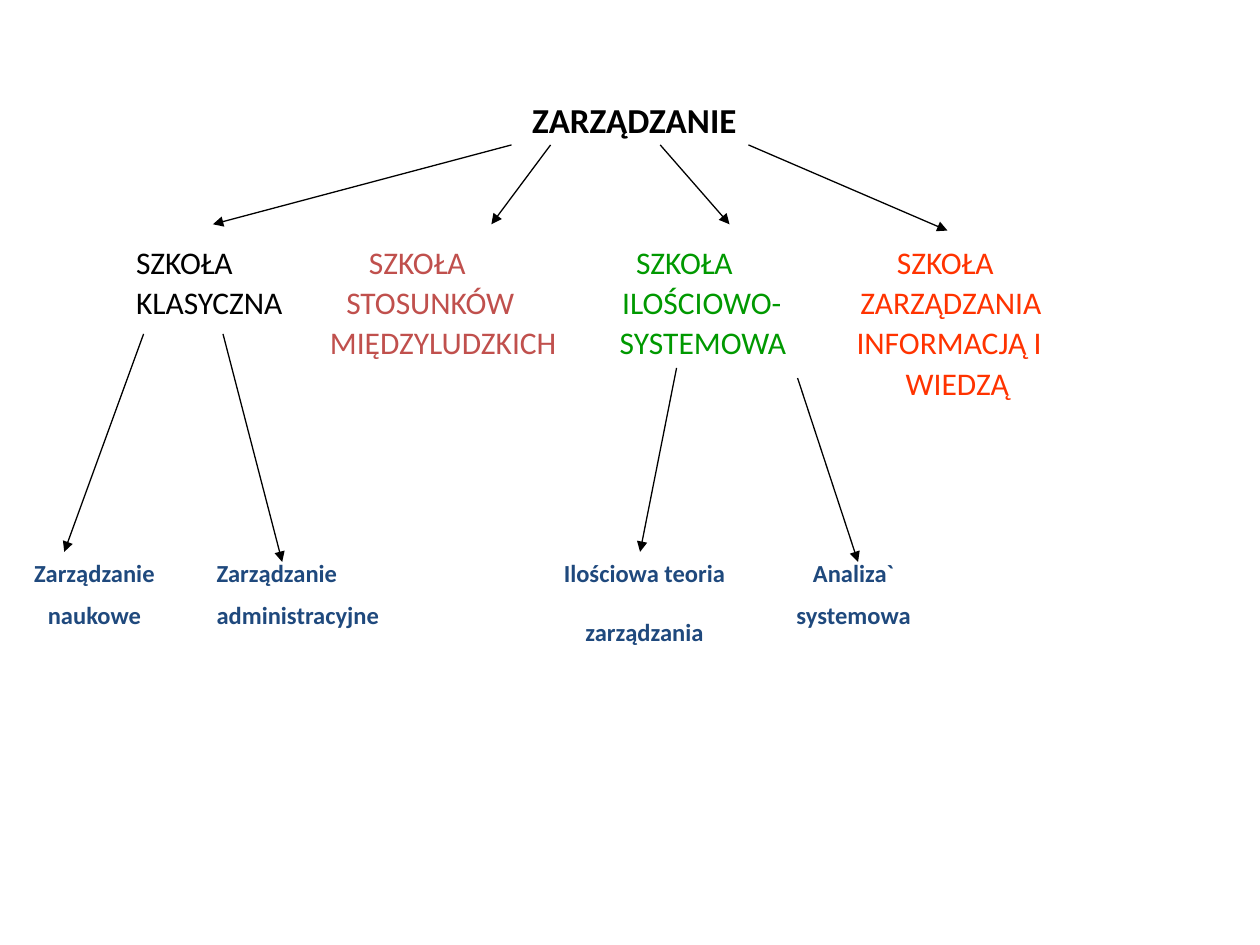
from dataclasses import dataclass

from lxml import etree
from pptx import Presentation
from pptx.dml.color import RGBColor
from pptx.enum.shapes import MSO_CONNECTOR
from pptx.enum.text import MSO_ANCHOR, MSO_AUTO_SIZE, PP_ALIGN
from pptx.oxml.ns import qn
from pptx.util import Inches, Pt

STRAIGHT = MSO_CONNECTOR.STRAIGHT
MIDDLE, TOP = MSO_ANCHOR.MIDDLE, MSO_ANCHOR.TOP
LEFT, CENTER = PP_ALIGN.LEFT, PP_ALIGN.CENTER
NO_AUTOFIT, GROW = MSO_AUTO_SIZE.NONE, MSO_AUTO_SIZE.SHAPE_TO_FIT_TEXT

COLORS = {
    "black": "000000",
    "relations": "C0504D",
    "systemic": "009900",
    "knowledge": "FF3300",
    "branch": "1F497D",
}

CLASSICAL = [("SZKOŁA", 0), ("KLASYCZNA", 0)]
OTHER_SCHOOLS = [
    (2.52, 2.1, "relations",
     [("SZKOŁA", 0.31), ("STOSUNKÓW", 0.13), ("MIĘDZYLUDZKICH", 0)]),
    (4.82, 1.7, "systemic",
     [("SZKOŁA", 0.13), ("ILOŚCIOWO-", 0.02), ("SYSTEMOWA", 0)]),
    (6.7, 1.9, "knowledge",
     [("SZKOŁA", 0.32), ("ZARZĄDZANIA", 0.03), ("INFORMACJĄ I", 0), ("WIEDZĄ", 0.39)]),
]

ARROWS = [
    (4.06, 1.15, 1.69, 1.78), (4.37, 1.15, 3.9, 1.78),
    (5.24, 1.15, 5.79, 1.78), (5.94, 1.15, 7.52, 1.83),
    (1.14, 2.65, 0.51, 4.38), (1.77, 2.65, 2.24, 4.46),
    (5.37, 2.92, 5.08, 4.38), (6.33, 3, 6.81, 4.46),
]

BRANCHES = [
    (0, 1.5, 0.69, ["Zarządzanie", "naukowe"], CENTER, 7, True),
    (1.62, 1.81, 0.69, ["Zarządzanie", "administracyjne"], LEFT, 7, True),
    (5.79, 1.97, 0.69, ["Analiza`", "systemowa"], CENTER, 7, True),
    (4.37, 1.49, 0.81, ["Ilościowa teoria", "zarządzania"], CENTER, 17, False),
]


@dataclass
class SchoolsDiagram:
    """Holds the slide and the style of the management schools diagram."""
    slide: object
    face: str = "Calibri"

    def style(self, font, size, color, bold=False):
        font.name, font.size, font.bold = self.face, Pt(size), bold
        font.color.rgb = RGBColor.from_string(COLORS[color])

    def place(self, shape, left, top, width, height):
        shape.left, shape.top = Inches(left), Inches(top)
        shape.width, shape.height = Inches(width), Inches(height)
        shape.text_frame.auto_size = NO_AUTOFIT

    def textbox(self, left, top, width, height):
        return self.slide.shapes.add_textbox(*map(Inches, (left, top, width, height)))

    def title(self, wording, box):
        heading = self.slide.shapes.title
        self.place(heading, *box)
        heading.text_frame.vertical_anchor = MIDDLE
        heading.text_frame.text = wording
        paragraph = heading.text_frame.paragraphs[0]
        paragraph.alignment = CENTER
        self.style(paragraph.font, 20, "black", True)

    def first_school(self, lines, left, width):
        self.school(self.slide.placeholders[1], left, width, "black", lines)

    def other_school(self, left, width, color, lines):
        self.school(self.textbox(left, 1.91, width, 1.76), left, width, color, lines)

    def school(self, holder, left, width, color, lines):
        self.place(holder, left, 1.91, width, 1.76)
        frame = holder.text_frame
        frame.word_wrap, frame.vertical_anchor = True, TOP
        frame.text = "\n".join(name for name, _ in lines)
        for paragraph, (_, indent) in zip(frame.paragraphs, lines):
            paragraph.line_spacing, paragraph.space_before = 0.9, Pt(3.6)
            properties = paragraph._p.get_or_add_pPr()
            properties.set("marL", str(Inches(indent)))
            properties.set("indent", "0")
            etree.SubElement(properties, qn("a:buNone"))
            self.style(paragraph.font, 18, color)

    def arrow(self, *ends):
        connector = self.slide.shapes.add_connector(STRAIGHT, *map(Inches, ends))
        connector.line.width = Pt(0.75)
        connector.line.color.rgb = RGBColor.from_string(COLORS["black"])
        etree.SubElement(connector.line._get_or_add_ln(), qn("a:tailEnd"), type="triangle")
        etree.SubElement(connector._element.spPr, qn("a:effectLst"))

    def branch(self, left, width, height, lines, alignment, gap, wrap):
        frame = self.textbox(left, 4.38, width, height).text_frame
        frame.word_wrap, frame.auto_size = wrap, GROW
        frame.text = "\n".join(lines)
        for index, paragraph in enumerate(frame.paragraphs):
            paragraph.alignment = alignment
            paragraph.space_before = Pt(gap if index else 0)
            self.style(paragraph.font, 14, "branch", True)


def main():
    deck = Presentation()
    deck.slide_width, deck.slide_height = Inches(10), Inches(7.5)
    diagram = SchoolsDiagram(deck.slides.add_slide(deck.slide_layouts[1]))
    diagram.title("ZARZĄDZANIE", (2.43, 0.6, 5.21, 0.69))
    diagram.first_school(CLASSICAL, 0.98, 1.5)
    for school in OTHER_SCHOOLS:
        diagram.other_school(*school)
    for ends in ARROWS:
        diagram.arrow(*ends)
    for branch in BRANCHES:
        diagram.branch(*branch)
    deck.save("out.pptx")


if __name__ == "__main__":
    main()
